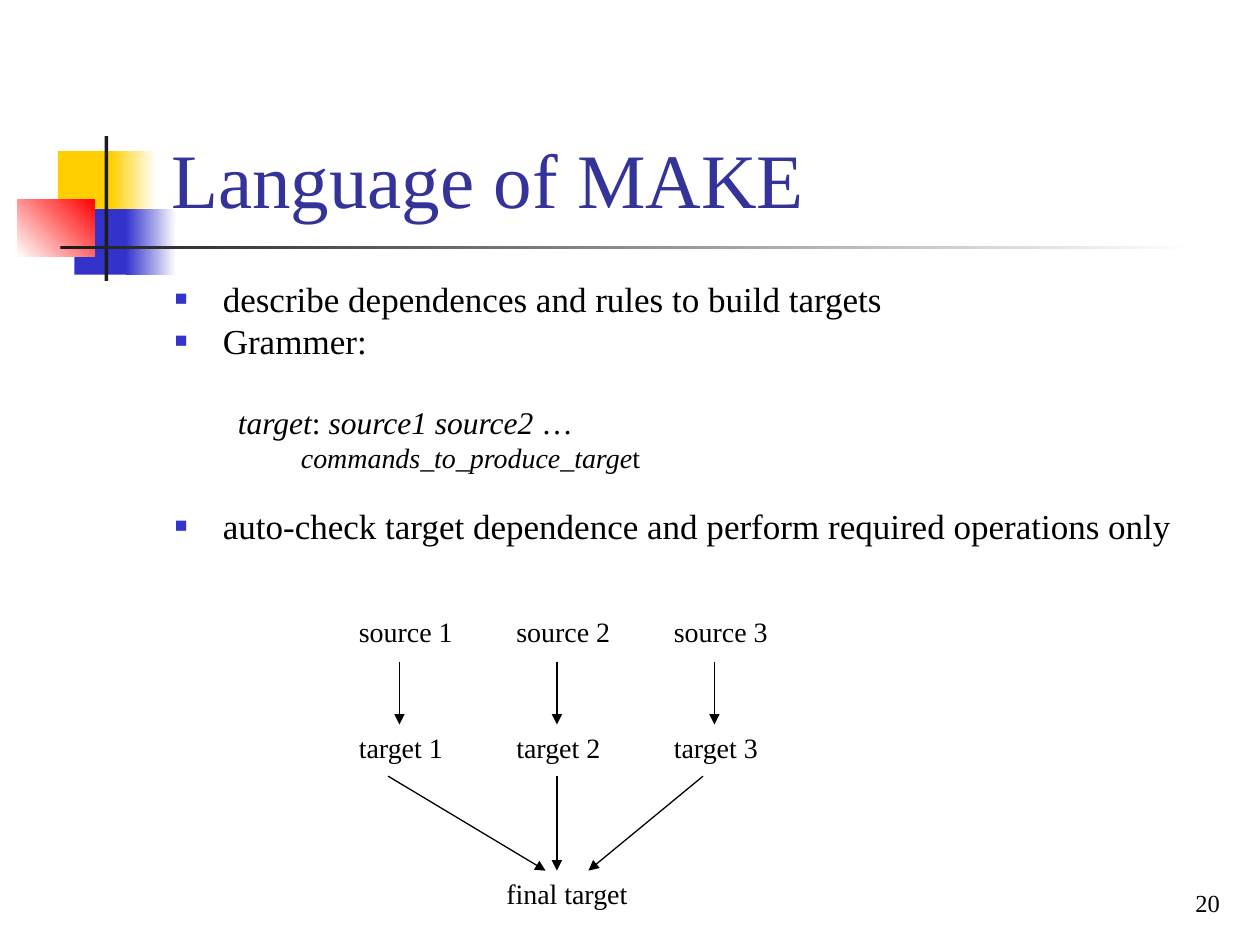
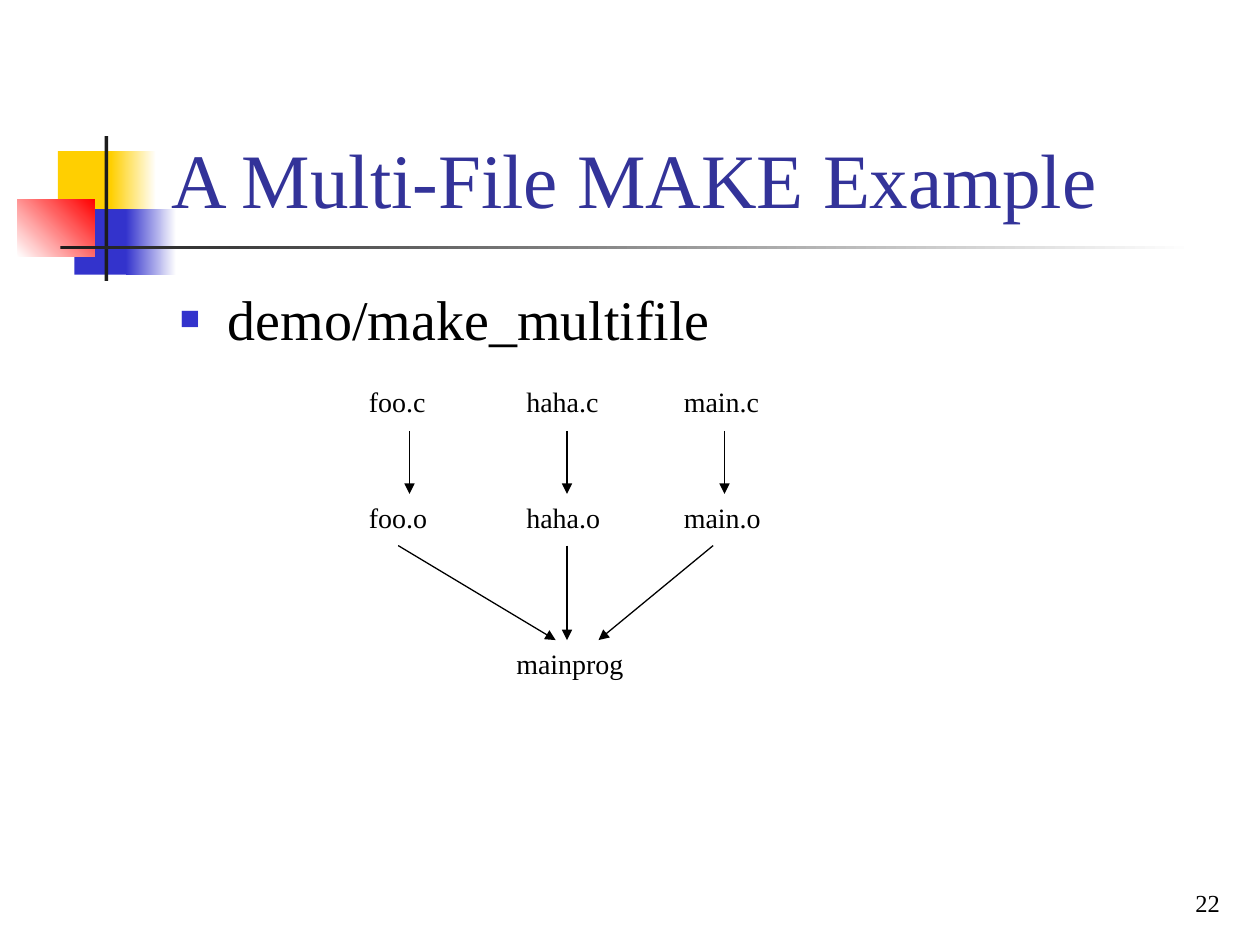
from lxml import etree
from pptx import Presentation
from pptx.dml.color import RGBColor
from pptx.enum.shapes import MSO_CONNECTOR, MSO_SHAPE
from pptx.enum.text import MSO_ANCHOR as ANCHOR, PP_ALIGN as ALIGN
from pptx.oxml.ns import qn
from pptx.util import Inches, Pt

FONT = "Times New Roman"
COLOURS = {
    "title": "333399",
    "text": "000000",
    "yellow": "FFCF01",
    "blue": "3333CC",
    "red": "FF0000",
    "bar": "1C1C1C",
    "white": "FFFFFF",
}

# left, top, width, height, colours (two make a gradient), gradient angle
DECORATION = [
    (0.46, 1.2, 0.48, 0.52, ["yellow"], 0),
    (0.88, 1.2, 0.36, 0.52, ["yellow", "white"], 0),
    (0.59, 1.66, 0.46, 0.52, ["blue"], 0),
    (1, 1.66, 0.4, 0.52, ["blue", "white"], 0),
    (0.14, 1.58, 0.61, 0.46, ["white", "red"], 45),
    (0.83, 1.08, 0.03, 1.15, ["bar"], 0),
    (0.48, 1.95, 9, 0.03, ["bar", "white"], 0),
]

# Each body line: size, left indent, bulleted, line spacing, space before, runs (text, italic)
SLIDES = [
    {
        "title": "Language of MAKE",
        "number": "20",
        "body_at": (1.29, 2.22, 8.5, 2.54),
        "body": [
            (20, 0.38, True, 0.8, 0,
             [("describe dependences and rules to build targets", False)]),
            (20, 0.38, True, 0.8, 4.5, [("Grammer:", False)]),
            (18, 0.5, False, 0.8, 28,
             [("target", True), (": ", False), ("source1 source2", True), (" …", False)]),
            (16, 1, False, 0.8, 4, [("commands_to_produce_targe", True), ("t", False)]),
            (20, 0.38, True, 0.8, 22,
             [("auto-check target dependence and perform required operations only", False)]),
        ],
        "diagram_at": (2.75, 4.83),
        "sources": ["source 1", "source 2", "source 3"],
        "targets": ["target 1", "target 2", "target 3"],
        "final": "final target",
    },
    {
        "title": "A Multi-File MAKE Example",
        "number": "22",
        "body_at": (1.33, 2.21, 8.5, 0.67),
        "body": [(32, 0.38, True, 1, 0, [("demo/make_multifile", False)])],
        "diagram_at": (2.83, 3),
        "sources": ["foo.c", "haha.c", "main.c"],
        "targets": ["foo.o", "haha.o", "main.o"],
        "final": "mainprog",
    },
]
COLUMN_GAP = 1.25
TARGET_DROP = 0.92
FINAL_DROP = 2.08


def add_text(page, at, text="", size=16, colour="text", anchor=ANCHOR.TOP, align=ALIGN.LEFT):
    """Add a wrapping text box with one run and return its text frame."""
    frame = page.shapes.add_textbox(*map(Inches, at)).text_frame
    frame.word_wrap = True
    frame.vertical_anchor = anchor
    para = frame.paragraphs[0]
    para.alignment = align
    if text:
        span = para.add_run()
        span.text = text
        span.font.name = FONT
        span.font.size = Pt(size)
        span.font.color.rgb = RGBColor.from_string(COLOURS[colour])
    return frame


def add_arrow(page, x1, y1, x2, y2):
    arrow = page.shapes.add_connector(MSO_CONNECTOR.STRAIGHT, *map(Inches, (x1, y1, x2, y2)))
    arrow.line.color.rgb = RGBColor.from_string(COLOURS["text"])
    arrow.line.width = Pt(0.75)
    etree.SubElement(arrow.line._get_or_add_ln(), qn("a:tailEnd"), type="triangle")
    etree.SubElement(arrow._element.spPr, qn("a:effectLst"))


deck = Presentation()
deck.slide_width, deck.slide_height = Inches(10), Inches(7.5)

for content in SLIDES:
    page = deck.slides.add_slide(deck.slide_layouts[6])

    for *at, names, angle in DECORATION:
        block = page.shapes.add_shape(MSO_SHAPE.RECTANGLE, *map(Inches, at))
        block.shadow.inherit = False
        block.line.fill.background()
        if len(names) == 1:
            block.fill.solid()
            block.fill.fore_color.rgb = RGBColor.from_string(COLOURS[names[0]])
        else:
            block.fill.gradient()
            block.fill.gradient_angle = angle
            for stop, name in zip(block.fill.gradient_stops, names):
                stop.color.rgb = RGBColor.from_string(COLOURS[name])

    add_text(page, (1.26, 0.23, 8.52, 1.6), content["title"], 44, "title", ANCHOR.BOTTOM)

    body = add_text(page, content["body_at"])
    for index, (size, indent, bulleted, spacing, before, runs) in enumerate(content["body"]):
        para = body.add_paragraph() if index else body.paragraphs[0]
        para.line_spacing = spacing
        para.space_before = Pt(before)
        props = para._p.get_or_add_pPr()
        props.set("marL", str(Inches(indent)))
        if bulleted:
            props.set("indent", str(-Inches(indent)))
            bullet_colour = etree.SubElement(props, qn("a:buClr"))
            etree.SubElement(bullet_colour, qn("a:srgbClr"), val=COLOURS["blue"])
            etree.SubElement(props, qn("a:buSzPct"), val="60000")
            etree.SubElement(props, qn("a:buFont"), typeface=FONT)
            etree.SubElement(props, qn("a:buChar"), char="■")
        for text, italic in runs:
            span = para.add_run()
            span.text = text
            span.font.name = FONT
            span.font.size = Pt(size)
            span.font.italic = italic
            span.font.color.rgb = RGBColor.from_string(COLOURS["text"])

    left, top = content["diagram_at"]
    for column, (source, target) in enumerate(zip(content["sources"], content["targets"])):
        x = left + column * COLUMN_GAP
        add_text(page, (x, top, 1.2, 0.37), source)
        add_arrow(page, x + 0.42, top + 0.42, x + 0.42, top + TARGET_DROP)
        add_text(page, (x, top + TARGET_DROP, 1.2, 0.37), target)
    add_text(page, (left + 1.17, top + FINAL_DROP, 1.2, 0.37), content["final"])
    for start, end in [(0.33, 1.58), (1.67, 1.67), (2.83, 1.92)]:
        add_arrow(page, left + start, top + 1.33, left + end, top + FINAL_DROP)

    add_text(page, (7.7, 6.83, 2.08, 0.5), content["number"], 14,
             anchor=ANCHOR.BOTTOM, align=ALIGN.RIGHT)

deck.save("out.pptx")
